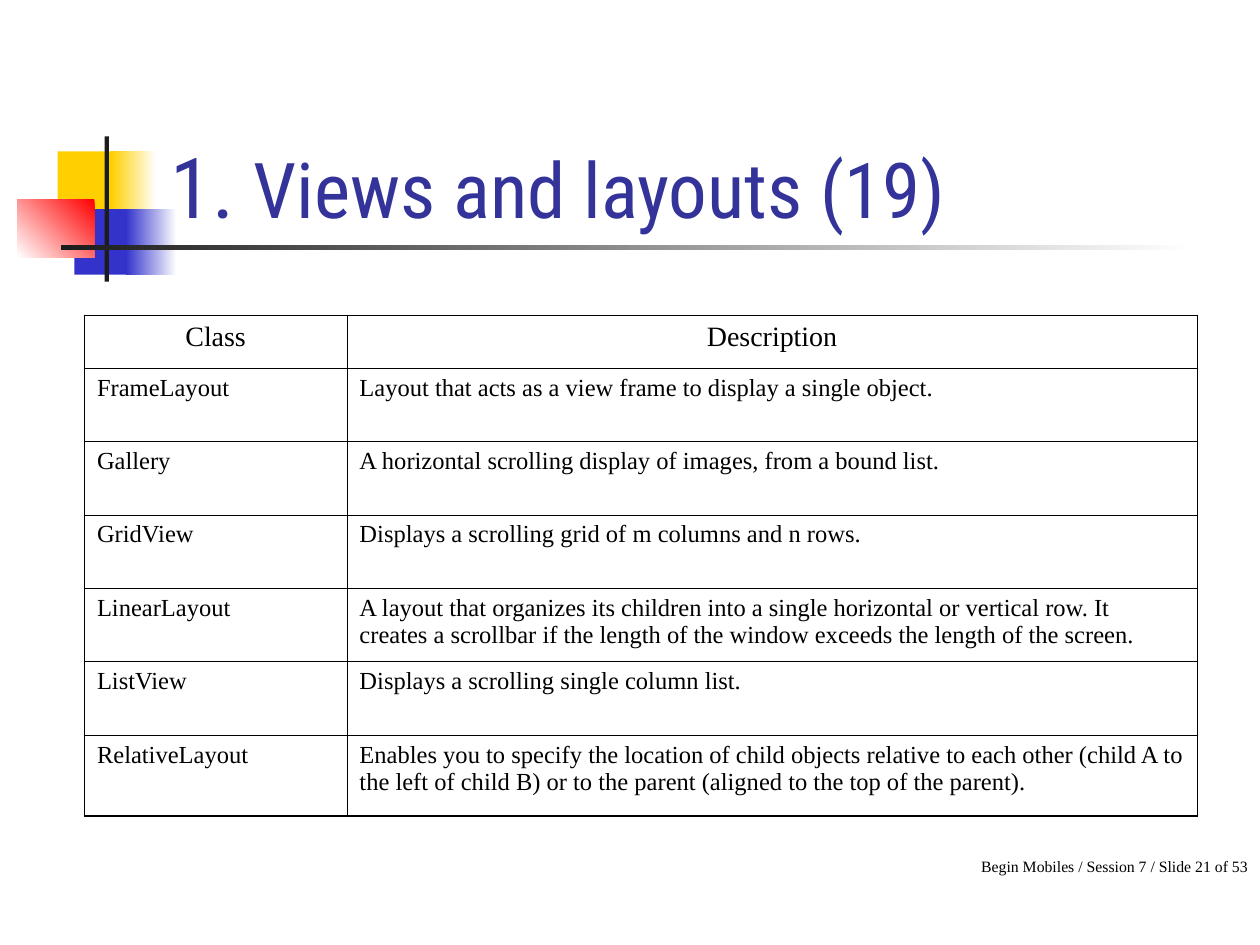
"""Build the slide on view and layout classes."""
from lxml.etree import SubElement
from pptx import Presentation
from pptx.dml.color import RGBColor
from pptx.enum.shapes import MSO_SHAPE
from pptx.enum.text import MSO_ANCHOR, MSO_AUTO_SIZE, PP_ALIGN
from pptx.oxml.ns import qn
from pptx.util import Pt

COLOURS = {
    "white": "FFFFFF", "black": "000000", "title": "333399", "yellow": "FFCF01",
    "blue": "3333CC", "red": "FF0000", "dark": "1C1C1C",
}
SERIF = "Times New Roman"
TITLE_FONT = "Roboto Condensed"
THIN, THICK = 0.45, 1.08

BLOCKS = [
    ((33, 86.5, 34.5, 37.5), ["yellow"], 0),
    ((63.5, 86.5, 26, 37.5), ["white", "yellow"], 180),
    ((42.5, 119.5, 33, 37.5), ["blue"], 0),
    ((72, 119.5, 29, 37.5), ["white", "blue"], 180),
    ((10, 113.75, 44, 33.25), ["red", "white"], 225),
    ((59.75, 78, 2.5, 83), ["dark"], 0),
    ((34.75, 140.25, 648, 2.5), ["white", "dark"], 180),
]
ROWS = [
    ("Class", "Description"),
    ("FrameLayout", "Layout that acts as a view frame to display a single object."),
    ("Gallery", "A horizontal scrolling display of images, from a bound list."),
    ("GridView", "Displays a scrolling grid of m columns and n rows."),
    ("LinearLayout", "A layout that organizes its children into a single horizontal or "
     "vertical row. It creates a scrollbar if the length of the window exceeds the "
     "length of the screen."),
    ("ListView", "Displays a scrolling single column list."),
    ("RelativeLayout", "Enables you to specify the location of child objects relative to "
     "each other (child A to the left of child B) or to the parent (aligned to the top "
     "of the parent)."),
]
COLUMN_WIDTHS = [150, 486]
ROW_HEIGHTS = [30, 42, 42, 42, 42, 42, 46]


def colour(name):
    return RGBColor.from_string(COLOURS[name])


def set_font(font, face, size, name):
    font.name = face
    font.size = Pt(size)
    font.color.rgb = colour(name)


def add_block(slide, place, names, angle):
    block = slide.shapes.add_shape(MSO_SHAPE.RECTANGLE, *map(Pt, place))
    block.shadow.inherit = False
    block.line.fill.background()
    if len(names) == 1:
        block.fill.solid()
        block.fill.fore_color.rgb = colour(names[0])
        return
    block.fill.gradient()
    block.fill.gradient_angle = angle
    for stop, name in zip(block.fill.gradient_stops, names):
        stop.color.rgb = colour(name)


def fill_title(slide):
    title = slide.shapes.title
    title.left, title.top, title.width, title.height = map(Pt, (90.5, 48, 613.5, 90))
    frame = title.text_frame
    frame.auto_size = MSO_AUTO_SIZE.NONE
    frame.vertical_anchor = MSO_ANCHOR.BOTTOM
    paragraph = frame.paragraphs[0]
    paragraph.alignment = PP_ALIGN.LEFT
    for text, size in (("1. ", 48), ("Views and layouts (19)", 44)):
        span = paragraph.add_run()
        span.text = text
        set_font(span.font, TITLE_FONT, size, "title")
    slide.shapes._spTree.append(title._element)


def add_footer(slide):
    box = slide.shapes.add_textbox(*map(Pt, (366, 486, 354, 18)))
    box.text_frame.word_wrap = True
    paragraph = box.text_frame.paragraphs[0]
    paragraph.text = "Begin Mobiles / Session 7 / Slide 21 of 53"
    paragraph.alignment = PP_ALIGN.RIGHT
    set_font(paragraph.font, SERIF, 9, "black")


def set_borders(cell, outer_sides):
    properties = cell._tc.get_or_add_tcPr()
    for side, is_outer in outer_sides.items():
        width = Pt(THICK if is_outer else THIN)
        line = SubElement(properties, qn(f"a:ln{side}"), w=str(int(width)))
        fill = SubElement(line, qn("a:solidFill"))
        SubElement(fill, qn("a:srgbClr"), val=COLOURS["black"])


def add_class_table(slide):
    last_row, last_column = len(ROWS) - 1, len(COLUMN_WIDTHS) - 1
    table = slide.shapes.add_table(
        len(ROWS), len(COLUMN_WIDTHS), Pt(48.25), Pt(180.25),
        Pt(sum(COLUMN_WIDTHS)), Pt(sum(ROW_HEIGHTS))).table
    table.first_row = table.horz_banding = False
    for column, width in zip(table.columns, COLUMN_WIDTHS):
        column.width = Pt(width)
    for row_index, (texts, height) in enumerate(zip(ROWS, ROW_HEIGHTS)):
        table.rows[row_index].height = Pt(height)
        is_header = row_index == 0
        for column_index, text in enumerate(texts):
            cell = table.cell(row_index, column_index)
            set_borders(cell, {
                "L": column_index == 0, "R": column_index == last_column,
                "T": is_header, "B": row_index == last_row})
            cell.fill.background()
            paragraph = cell.text_frame.paragraphs[0]
            paragraph.text = text
            paragraph.alignment = PP_ALIGN.CENTER if is_header else PP_ALIGN.LEFT
            set_font(paragraph.font, SERIF, 16 if is_header else 14, "black")


def main():
    deck = Presentation()
    deck.slide_width, deck.slide_height = Pt(720), Pt(540)
    page = deck.slides.add_slide(deck.slide_layouts[5])
    for place, names, angle in BLOCKS:
        add_block(page, place, names, angle)
    add_footer(page)
    fill_title(page)
    add_class_table(page)
    deck.save("out.pptx")


if __name__ == "__main__":
    main()
